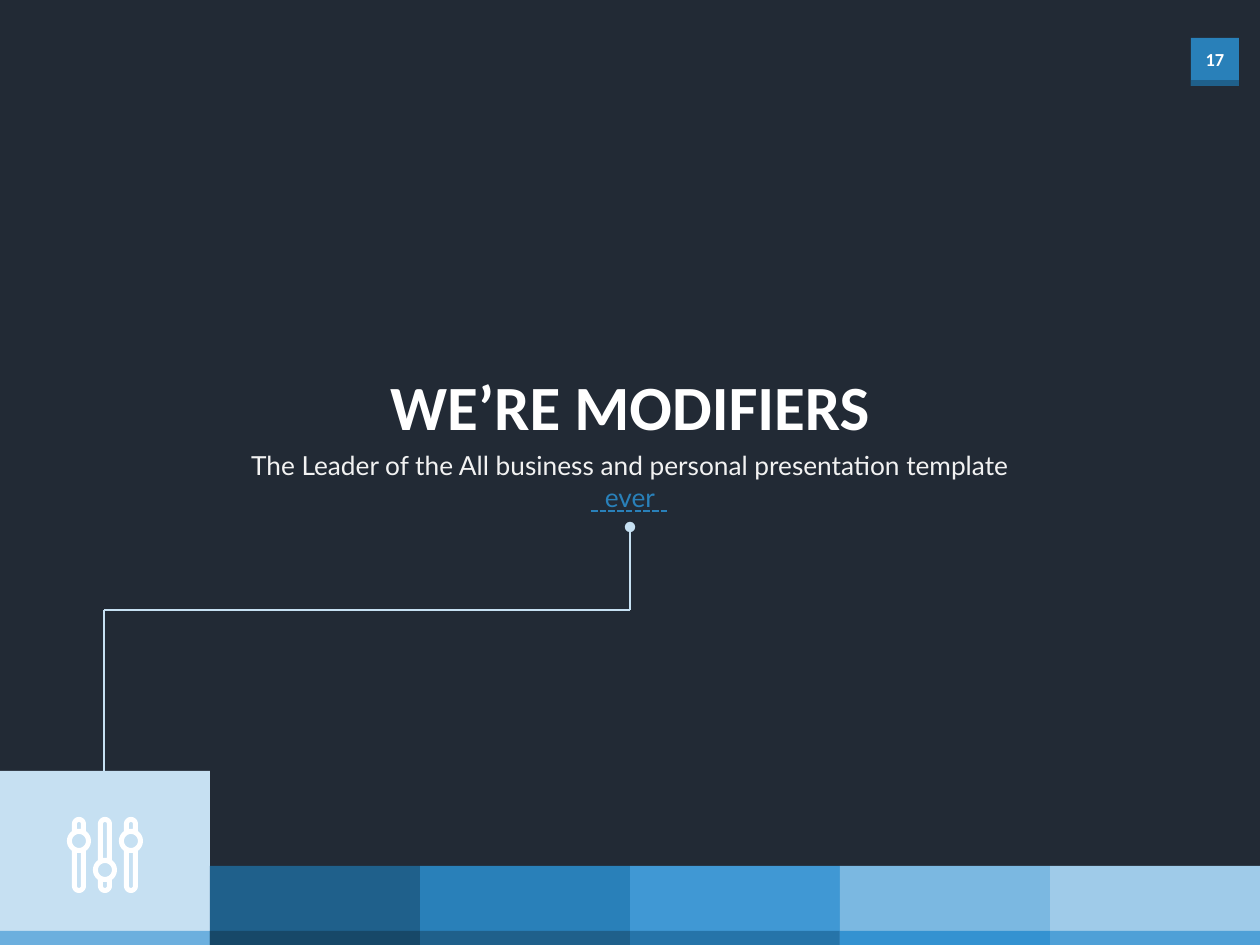
from dataclasses import dataclass
from math import asin, cos, degrees, radians, sin

from lxml import etree
from pptx import Presentation
from pptx.dml.color import RGBColor as Rgb
from pptx.enum.dml import MSO_LINE as Dash
from pptx.enum.shapes import MSO_CONNECTOR as Link, MSO_SHAPE as Kind
from pptx.enum.text import MSO_ANCHOR as Anchor, MSO_AUTO_SIZE as Fit, PP_ALIGN as Align
from pptx.oxml.ns import qn
from pptx.util import Pt

PX = 914400 / 126  # EMU in one px
WIDE, HIGH = 1260, 945


@dataclass(frozen=True)
class Theme:
    back: str = "222A35"
    white: str = "FFFFFF"
    soft: str = "F2F2F2"
    blue: str = "2980B9"
    deep: str = "1F608B"
    pale: str = "C6E0F2"
    # Face and foot colour of each band, left to right
    bands: tuple = (
        ("C6E0F2", "6CAFDE"), ("1F608B", "174868"), ("2980B9", "1F608B"),
        ("4098D4", "2674A9"), ("7BB8E1", "3492D1"), ("9FCBE9", "4FA0D7"),
    )
    head: str = "Calibri"
    body: str = "Lato"
    big: float = 36
    mid: float = 15
    small: float = 10.5
    line: float = 1.25


T = Theme()


def emu(*nums):
    return [round(n * PX) for n in nums]


def paint(shape, color):
    shape.shadow.inherit = False
    shape.fill.solid()
    shape.fill.fore_color.rgb = Rgb.from_string(color)
    shape.line.fill.background()


def block(slide, box, color):
    paint(slide.shapes.add_shape(Kind.RECTANGLE, *emu(*box)), color)


def rule(slide, start, end, color, dash=None, dot=False):
    link = slide.shapes.add_connector(Link.STRAIGHT, *emu(*start, *end))
    link.line.color.rgb = Rgb.from_string(color)
    link.line.width = Pt(T.line)
    if dash:
        link.line.dash_style = dash
    props = link._element.spPr
    if dot:
        etree.SubElement(props.find(qn("a:ln")), qn("a:headEnd"), type="oval")
    etree.SubElement(props, qn("a:effectLst"))


def write(shape, box, parts, font, size, bold=False, wrap=False):
    """Fill a text shape with one centred line of (text, colour) parts."""
    shape.left, shape.top, shape.width, shape.height = emu(*box)
    frame = shape.text_frame
    frame.auto_size = Fit.NONE
    frame.word_wrap = wrap
    frame.vertical_anchor = Anchor.TOP
    para = frame.paragraphs[0]
    para.alignment = Align.CENTER
    para.space_before = Pt(0)
    for text, color in parts:
        run = para.add_run()
        run.text = text
        run.font.name, run.font.size, run.font.bold = font, Pt(size), bold
        run.font.color.rgb = Rgb.from_string(color)


def badge(slide, x, y, side):
    """Page number on a square with a darker foot."""
    block(slide, (x, y, side, side), T.blue)
    block(slide, (x, y + side - 6, side, 6), T.deep)
    label = slide.shapes.add_textbox(0, 0, 0, 0)
    write(label, (x, y + 4, side, 35), [("17", T.white)], T.head, T.small, True)


def footer(slide, x, y, w, h):
    """Row of equal bands; the first one is a tall tile."""
    step, foot, low = w // len(T.bands), 14, 79
    for i, (face, base) in enumerate(T.bands):
        left = x + i * step
        tall = low if i else h
        block(slide, (left, y + h - tall, step, tall), face)
        block(slide, (left, y + h - foot, step, foot), base)


def arc(x, y, r, start, end, steps=24):
    turns = [radians(start + (end - start) * i / steps) for i in range(steps + 1)]
    return [(x + r * cos(a), y + r * sin(a)) for a in turns]


def slider(slide, x, y, h, knob):
    """One slider with a hollow tube and knob; x is its centre line."""
    tube, slot, ring, hole = 7, 2, 12, 7
    top, low, mid = y + tube, y + h - tube, y + knob
    bend = degrees(asin(tube / ring))
    paths = [
        # Outline
        arc(x, top, tube, 180, 360) + arc(x, mid, ring, bend - 90, 90 - bend)
        + arc(x, low, tube, 0, 180) + arc(x, mid, ring, 90 + bend, 270 - bend),
        # Holes: upper slot, lower slot, knob
        arc(x, top, slot, 180, 360) + [(x + slot, mid - ring), (x - slot, mid - ring)],
        arc(x, low, slot, 0, 180) + [(x - slot, mid + ring), (x + slot, mid + ring)],
        arc(x, mid, hole, 0, 360),
    ]
    pen = None
    for path in paths:
        first, *rest = [emu(*point) for point in path]
        if pen is None:
            pen = slide.shapes.build_freeform(*first)
        else:
            pen.move_to(*first)
        pen.add_line_segments(rest, close=True)
    paint(pen.convert_to_shape(), T.white)


def icon(slide, x, y, w, h):
    """Three sliders at equal steps."""
    for i, knob in enumerate((24, 53, 24)):
        slider(slide, x + 12 + i * (w - 24) / 2, y, h, knob)


def path(slide, x, y, w, h):
    """Stepped line from the heading down to the tile."""
    bend = y + 83
    rule(slide, (x, bend), (x + w, bend), T.pale)
    rule(slide, (x, bend), (x, y + h), T.pale)
    rule(slide, (x + w, y), (x + w, bend), T.pale, dot=True)


def heading(slide, x, y, w, h):
    """Title, lead line and the dashed rule under its last word."""
    title, lead = slide.placeholders
    write(title, (x + 155, y, w - 310, 89), [("WE’RE MODIFIERS", T.white)],
          T.head, T.big, True)
    write(lead, (x, y + 82, w, h - 82),
          [("The Leader of the All business and personal presentation template ", T.soft),
           ("ever", T.blue)], T.body, T.mid, wrap=True)
    mid = x + w // 2
    rule(slide, (mid - 39, y + h), (mid + 39, y + h), T.blue, dash=Dash.SQUARE_DOT)


def main():
    deck = Presentation()
    deck.slide_width, deck.slide_height = emu(WIDE, HIGH)
    slide = deck.slides.add_slide(deck.slide_layouts[0])
    fill = slide.background.fill
    fill.solid()
    fill.fore_color.rgb = Rgb.from_string(T.back)

    badge(slide, 1191, 38, 48)
    footer(slide, 0, 771, WIDE, HIGH - 771)
    icon(slide, 67, 817, 76, 76)
    path(slide, 104, 527, 526, 244)
    heading(slide, 220, 361, 820, 150)
    deck.save("out.pptx")


if __name__ == "__main__":
    main()
